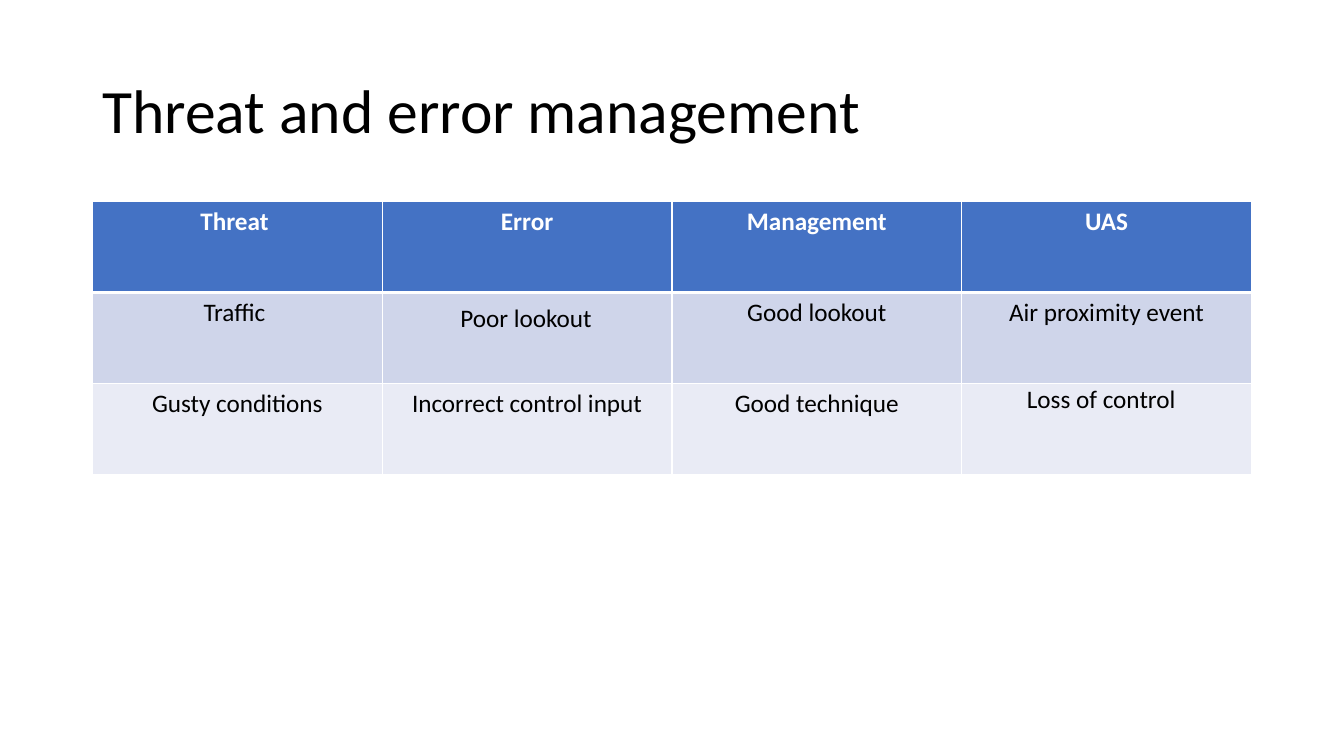
from lxml.etree import SubElement
from pptx import Presentation
from pptx.dml.color import RGBColor
from pptx.enum.text import MSO_ANCHOR, MSO_AUTO_SIZE, PP_ALIGN
from pptx.oxml.ns import qn
from pptx.util import Cm, Pt

COLORS = {
    "text": "000000",
    "white": "FFFFFF",
    "header": "4472C4",
    "odd": "CFD5EA",
    "even": "E9EBF5",
}
ROWS = [
    ["Threat ", "Error", "Management", "UAS"],
    ["Traffic ", "", "Good lookout", "Air proximity event"],
    ["Gusty conditions", "Incorrect control input", "Good technique", ""],
]


class SlideBuilder:
    font = "Calibri"
    body_size = 18

    def __init__(self, page):
        self.page = page

    def add_span(self, para, text, size, color="text", bold=False):
        span = para.add_run()
        span.text = text
        span.font.name = self.font
        span.font.size = Pt(size)
        span.font.bold = bold
        span.font.color.rgb = RGBColor.from_string(COLORS[color])

    def add_text(self, text, left, top, width, height, size):
        box = self.page.shapes.add_textbox(Cm(left), Cm(top), Cm(width), Cm(height))
        self.add_span(box.text_frame.paragraphs[0], text, size)
        return box.text_frame

    def add_title(self, text, left, top, width, height):
        frame = self.add_text(text, left, top, width, height, 44)
        frame.word_wrap = True
        frame.vertical_anchor = MSO_ANCHOR.MIDDLE
        frame.paragraphs[0].line_spacing = 0.9

    def add_label(self, text, left, top, width, height):
        frame = self.add_text(text, left, top, width, height, self.body_size)
        frame.word_wrap = False
        frame.auto_size = MSO_AUTO_SIZE.SHAPE_TO_FIT_TEXT

    def add_border(self, cell, side, width):
        properties = cell._tc.get_or_add_tcPr()
        line = SubElement(properties, qn(f"a:ln{side}"), w=str(Pt(width)))
        fill = SubElement(line, qn("a:solidFill"))
        SubElement(fill, qn("a:srgbClr"), val=COLORS["white"])

    def add_table(self, rows, left, top, width, height):
        frame = self.page.shapes.add_table(
            len(rows), len(rows[0]), Cm(left), Cm(top), Cm(width), Cm(height)
        )
        for row_index, row in enumerate(rows):
            for column_index, text in enumerate(row):
                self.fill_cell(frame.table.cell(row_index, column_index), text, row_index)

    def fill_cell(self, cell, text, row_index):
        is_header = row_index == 0
        widths = {"L": 1, "R": 1, "T": 3 if row_index == 1 else 1, "B": 3 if is_header else 1}
        for side, width in widths.items():
            self.add_border(cell, side, width)
        fill = "header" if is_header else "odd" if row_index % 2 else "even"
        cell.fill.solid()
        cell.fill.fore_color.rgb = RGBColor.from_string(COLORS[fill])
        para = cell.text_frame.paragraphs[0]
        para.alignment = PP_ALIGN.CENTER
        if text:
            color = "white" if is_header else "text"
            self.add_span(para, text, self.body_size, color, is_header)


def main():
    deck = Presentation()
    deck.slide_width = Cm(33.87)
    deck.slide_height = Cm(19.05)
    page = deck.slides.add_slide(deck.slide_layouts[6])
    builder = SlideBuilder(page)
    builder.add_title("Threat and error management", 2.33, 1.01, 29.21, 3.68)
    builder.add_table(ROWS, 2.33, 5.08, 29.21, 6.88)
    builder.add_label("Poor lookout", 11.35, 7.49, 3.86, 1.03)
    builder.add_label("Loss of control", 25.63, 9.53, 4.29, 1.03)
    deck.save("out.pptx")


if __name__ == "__main__":
    main()
